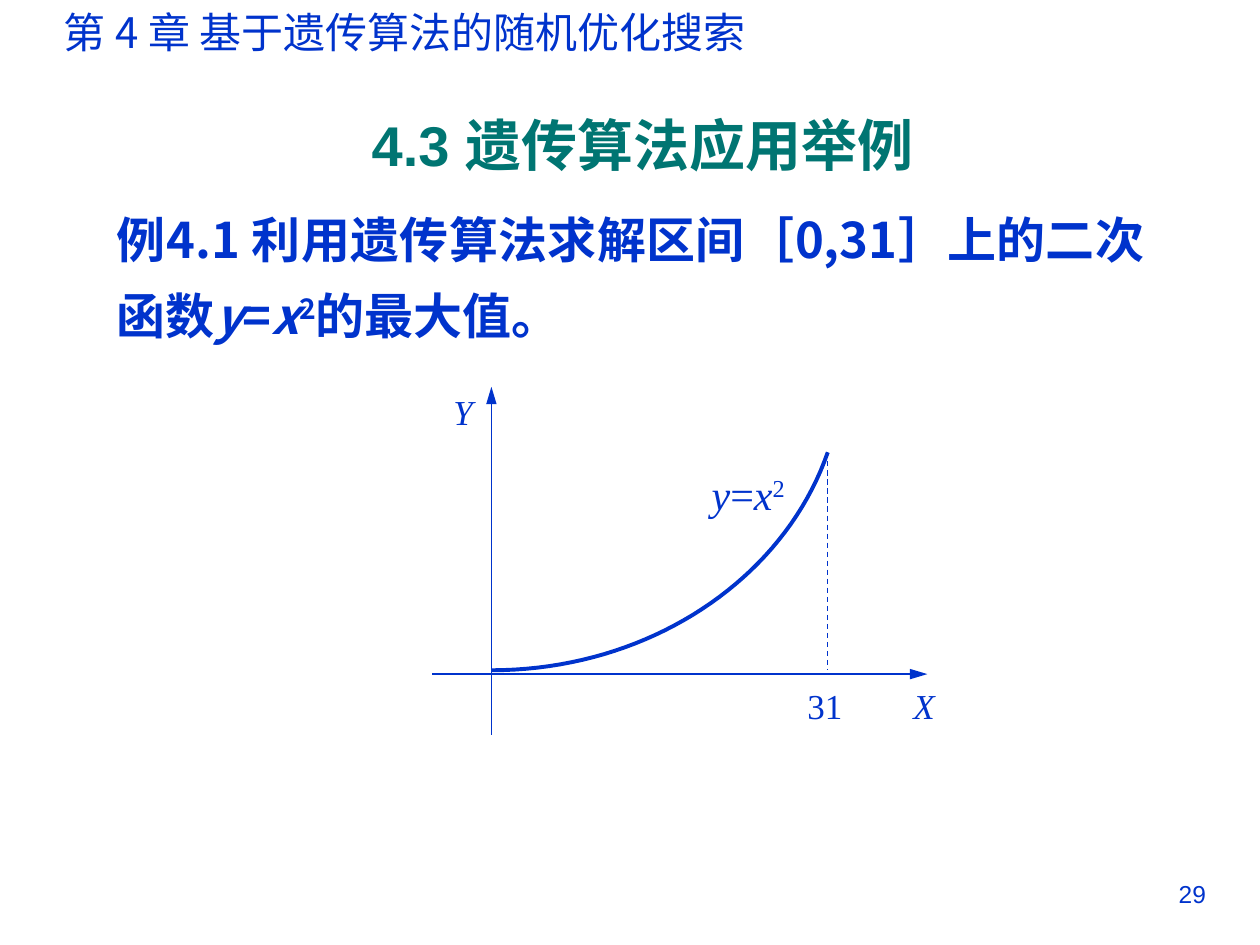
import pptx
import pptx.util
import pptx.dml.color
import pptx.enum.dml
import pptx.enum.shapes
import pptx.enum.text
import pptx.oxml
import pptx.oxml.ns
from pptx.util import Inches

BLUE, GREEN = "0033CC", "007572"
CHINESE, SANS, SERIF = "Noto Sans CJK SC", "Arial", "Times New Roman"
ALIGN = pptx.enum.text.PP_ALIGN

# Content: runs are (text, style), with i for italic and s for superscript
HEADER = [("第 4 章 基于遗传算法的随机优化搜索", "")]
TITLE = [("4.3 遗传算法应用举例", "")]
FORMULA = [("y", "i"), ("=", ""), ("x", "i"), ("2", "s")]
EXAMPLE = [("例4.1 利用遗传算法求解区间［0,31］上的二次函数", ""), *FORMULA, ("的最大值。", "")]
PAGE_NUMBER = [("29", "")]

# Graph labels: runs, box (left, top, width, height), size
LABELS = [
    (FORMULA, (5.55, 3.67, 0.87, 0.5), 24),
    ([("31", "")], (6.31, 5.38, 0.5, 0.44), 20),
    ([("X", "i")], (7.15, 5.38, 0.4, 0.44), 20),
    ([("Y", "i")], (3.5, 3.05, 0.31, 0.44), 20),
]

# Graph lines: from, to, element that ends or dashes the line
X_AXIS = ((3.43, 5.35), (7.36, 5.35), "tailEnd")
Y_AXIS = ((3.9, 5.83), (3.9, 3.07), "tailEnd")
DROP_LINE = ((6.57, 3.59), (6.57, 5.32), "dash")
CURVE = [(3.9, 5.32), (5.15, 5.32), (6.22, 4.6), (6.57, 3.59)]  # Bezier points
CURVE_STEPS = 40


def color(hex_string):
    return pptx.dml.color.RGBColor.from_string(hex_string)


def add_xml(parent, tag, **attributes):
    element = pptx.oxml.parse_xml(f"<a:{tag} {pptx.oxml.ns.nsdecls('a')}/>")
    for name, value in attributes.items():
        element.set(name, value)
    parent.append(element)


def write(shape, runs, box, size, font, hex_color=BLUE, bold=False, align=ALIGN.LEFT, wrap=False):
    shape.left, shape.top, shape.width, shape.height = map(Inches, box)
    frame = shape.text_frame
    frame.word_wrap = wrap
    frame.auto_size = pptx.enum.text.MSO_AUTO_SIZE.NONE
    frame.vertical_anchor = pptx.enum.text.MSO_ANCHOR.TOP
    paragraph = frame.paragraphs[0]
    paragraph.alignment = align
    for text, style in runs:
        run = paragraph.add_run()
        run.text = text
        run.font.size = pptx.util.Pt(size)
        run.font.bold = bold
        run.font.italic = style == "i"
        run.font.color.rgb = color(hex_color)
        run.font.name = font
        properties = run.font._element
        add_xml(properties, "ea", typeface=CHINESE)
        if style == "s":
            properties.set("baseline", "30000")
    return paragraph


def add_text(slide, runs, box, *args, **options):
    shape = slide.shapes.add_textbox(*map(Inches, box))
    return write(shape, runs, box, *args, **options)


def add_line(slide, start, end, style):
    line = slide.shapes.add_connector(
        pptx.enum.shapes.MSO_CONNECTOR.STRAIGHT, *map(Inches, start + end))
    line.line.color.rgb = color(BLUE)
    line.line.width = pptx.util.Pt(0.75)
    if style == "dash":
        line.line.dash_style = pptx.enum.dml.MSO_LINE.DASH
    else:
        add_xml(line.line._get_or_add_ln(), style, type="triangle", w="med", len="lg")
    add_xml(line._element.spPr, "effectLst")


def bezier(points, t):
    weights = ((1 - t) ** 3, 3 * t * (1 - t) ** 2, 3 * t ** 2 * (1 - t), t ** 3)
    return tuple(Inches(sum(w * p[axis] for w, p in zip(weights, points))) for axis in (0, 1))


def add_curve(slide):
    vertices = [bezier(CURVE, step / CURVE_STEPS) for step in range(CURVE_STEPS + 1)]
    builder = slide.shapes.build_freeform(*vertices[0])
    builder.add_line_segments(vertices[1:], close=False)
    curve = builder.convert_to_shape()
    curve.fill.background()
    curve.line.color.rgb = color(BLUE)
    curve.line.width = pptx.util.Pt(2.25)
    curve.shadow.inherit = False


def main():
    presentation = pptx.Presentation()
    presentation.slide_width, presentation.slide_height = Inches(10), Inches(7.5)
    slide = presentation.slides.add_slide(presentation.slide_layouts[5])

    # Header, title and example
    add_text(slide, HEADER, (0.41, 0, 5.84, 0.5), 24, CHINESE)
    write(slide.shapes.title, TITLE, (2.85, 0.83, 4.83, 0.64), 32, SANS, GREEN, bold=True)
    example = add_text(slide, EXAMPLE, (0.83, 1.47, 8.35, 1.32), 28, CHINESE,
                       bold=True, align=ALIGN.JUSTIFY, wrap=True)
    example.line_spacing = 1.3
    example.space_before = pptx.util.Pt(15)

    # Graph of the function
    for start, end, style in (X_AXIS, Y_AXIS, DROP_LINE):
        add_line(slide, start, end, style)
    add_curve(slide)
    for runs, box, size in LABELS:
        add_text(slide, runs, box, size, SERIF)

    # Page number
    add_text(slide, PAGE_NUMBER, (7.17, 6.93, 2.5, 0.52), 14, SANS, align=ALIGN.RIGHT, wrap=True)
    presentation.save("out.pptx")


if __name__ == "__main__":
    main()
